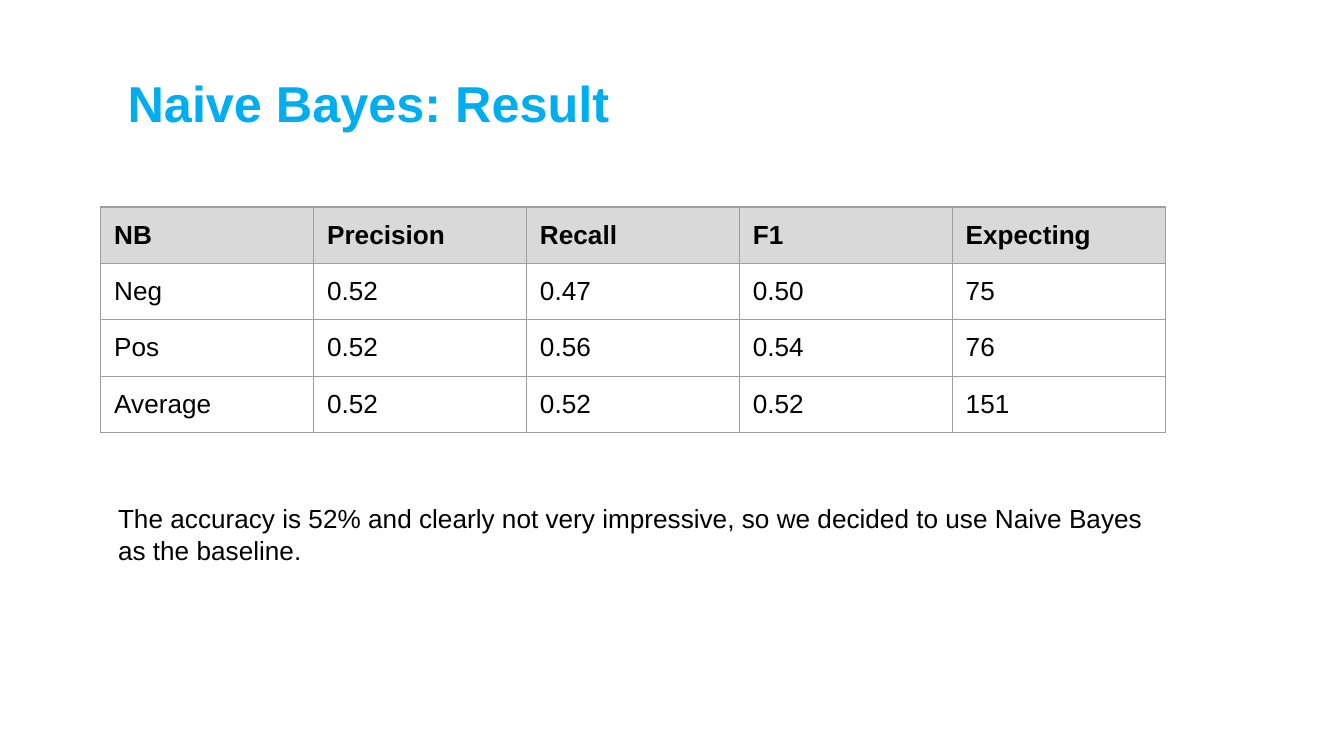
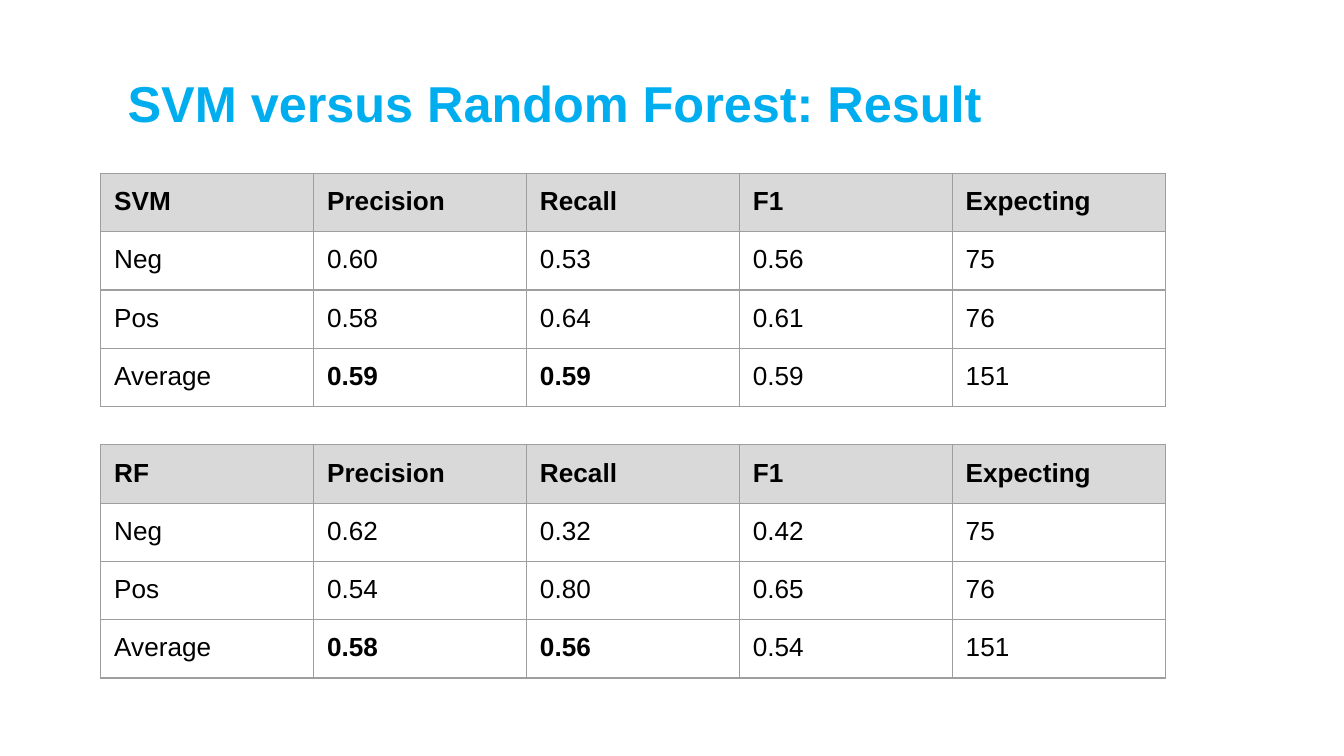
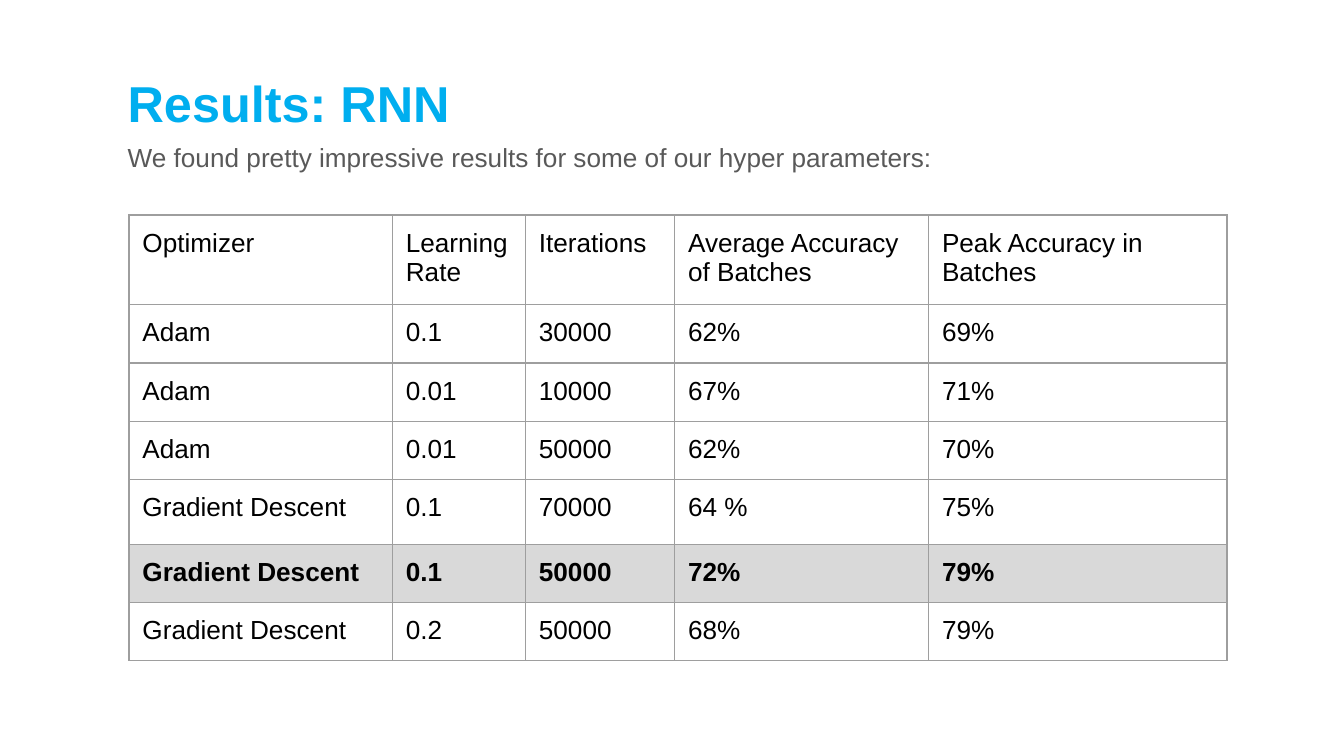
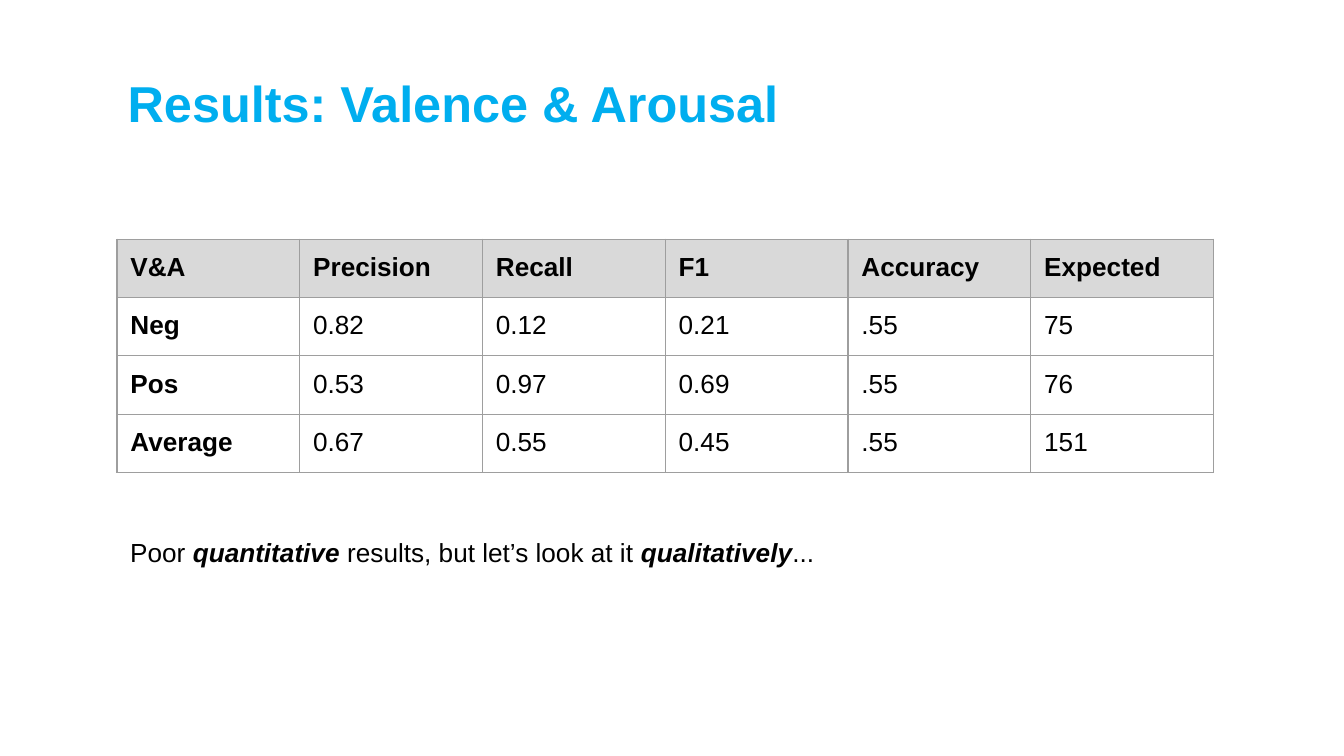
from lxml import etree
from pptx import Presentation
from pptx.dml.color import RGBColor
from pptx.enum.text import MSO_ANCHOR, MSO_AUTO_SIZE
from pptx.oxml.ns import qn
from pptx.util import Inches, Pt

BOTTOM, TOP = MSO_ANCHOR.BOTTOM, MSO_ANCHOR.TOP
FIT_SHAPE = MSO_AUTO_SIZE.SHAPE_TO_FIT_TEXT
NO_FIT = MSO_AUTO_SIZE.NONE

BLUE = RGBColor(0x00, 0xAE, 0xEF)
BLACK = RGBColor(0x00, 0x00, 0x00)
GRAY = RGBColor(0x59, 0x59, 0x59)
SHADE = RGBColor(0xD9, 0xD9, 0xD9)
BORDER = RGBColor(0x9E, 0x9E, 0x9E)

FONT = "Arial"
PAGE_WIDTH = 10
PAGE_HEIGHT = PAGE_WIDTH * 9 / 16
ROW_HEIGHT = 0.42
CLASSES = ("Neg", "Pos", "Average")
METRICS = ("Precision", "Recall", "F1", "Expecting")
AVERAGE_BEST = {(3, 1), (3, 2)}


def style_font(font, size, color, bold=False):
    font.name = FONT
    font.size = Pt(size)
    font.color.rgb = color
    font.bold = bold


def set_insets(frame, inset):
    """Give a text frame or a table cell the same margin on all sides."""
    frame.margin_left = frame.margin_right = Inches(inset)
    frame.margin_top = frame.margin_bottom = Inches(inset)


def add_text(page, place, spans, size=14, color=BLACK, bold=False,
             inset=0.1, anchor=TOP, spacing=1.0, fit=NO_FIT):
    """Add a one-paragraph box; spans are (text, emphasized) pairs."""
    box = page.shapes.add_textbox(*map(Inches, place))
    frame = box.text_frame
    frame.word_wrap = True
    frame.auto_size = fit
    frame.vertical_anchor = anchor
    set_insets(frame, inset)
    para = frame.paragraphs[0]
    para.line_spacing = spacing
    style_font(para.font, size, color, bold)
    for text, emphasized in spans:
        span = para.add_run()
        span.text = text
        if emphasized:
            span.font.bold = span.font.italic = True


def add_page(deck, title):
    page = deck.slides.add_slide(deck.slide_layouts[6])
    add_text(page, (0.87, 0.44, 7.13, 0.62), [(title, False)], size=27,
             color=BLUE, bold=True, inset=0.08, anchor=BOTTOM, spacing=0.8)
    return page


def remove_table_style(table):
    properties = table._tbl.tblPr
    properties.remove(properties.find(qn("a:tableStyleId")))
    table.first_row = table.horz_banding = False


def add_borders(cell):
    properties = cell._tc.get_or_add_tcPr()
    for side in ("a:lnL", "a:lnR", "a:lnT", "a:lnB"):
        line = etree.SubElement(properties, qn(side), w=str(Pt(0.75)))
        fill = etree.SubElement(line, qn("a:solidFill"))
        etree.SubElement(fill, qn("a:srgbClr"), val=str(BORDER))


def add_grid(page, left, top, widths, heights, rows, shaded_row=0, bold=()):
    """Add a table; the shaded row and the (row, column) cells in bold stand out."""
    frame = page.shapes.add_table(
        len(rows), len(widths), Inches(left), Inches(top),
        Inches(sum(widths)), Inches(sum(heights)))
    table = frame.table
    remove_table_style(table)
    for column, width in zip(table.columns, widths):
        column.width = Inches(width)
    for row, height in zip(table.rows, heights):
        row.height = Inches(height)
    for row_index, values in enumerate(rows):
        for column_index, value in enumerate(values):
            cell = table.cell(row_index, column_index)
            shaded = row_index == shaded_row
            cell.text = value
            set_insets(cell, 0.1)
            style_font(cell.text_frame.paragraphs[0].font, 14, BLACK,
                       shaded or (row_index, column_index) in bold)
            add_borders(cell)
            if shaded:
                cell.fill.solid()
                cell.fill.fore_color.rgb = SHADE
            else:
                cell.fill.background()


def add_scores(page, left, top, width, model, scores, metrics=METRICS, bold=()):
    """Add a table of scores per class, with equal columns."""
    rows = [(model, *metrics)]
    rows += [(name, *values) for name, values in zip(CLASSES, scores)]
    columns = len(rows[0])
    add_grid(page, left, top, [width / columns] * columns,
             [ROW_HEIGHT] * len(rows), rows, bold=bold)


def add_naive_bayes(deck):
    page = add_page(deck, "Naive Bayes: Result")
    add_scores(page, 0.75, 1.54, 7.92, "NB", [
        ("0.52", "0.47", "0.50", "75"),
        ("0.52", "0.56", "0.54", "76"),
        ("0.52", "0.52", "0.52", "151"),
    ])
    add_text(page, (0.78, 3.64, 7.92, 0.64), [
        ("The accuracy is 52% and clearly not very impressive, so we decided "
         "to use Naive Bayes as the baseline.", False)], fit=FIT_SHAPE)


def add_svm_and_forest(deck):
    page = add_page(deck, "SVM versus Random Forest: Result")
    add_scores(page, 0.75, 1.29, 7.92, "SVM", [
        ("0.60", "0.53", "0.56", "75"),
        ("0.58", "0.64", "0.61", "76"),
        ("0.59", "0.59", "0.59", "151"),
    ], bold=AVERAGE_BEST)
    add_scores(page, 0.75, 3.31, 7.92, "RF", [
        ("0.62", "0.32", "0.42", "75"),
        ("0.54", "0.80", "0.65", "76"),
        ("0.58", "0.56", "0.54", "151"),
    ], bold=AVERAGE_BEST)


def add_rnn(deck):
    page = add_page(deck, "Results: RNN")
    add_text(page, (0.87, 1, 7.13, 4.18), [
        ("We found pretty impressive results for some of our hyper parameters:",
         False)], color=GRAY, inset=0.08, spacing=0.9)
    rows = [
        ("Optimizer", "Learning Rate", "Iterations",
         "Average Accuracy of Batches", "Peak Accuracy in Batches"),
        ("Adam", "0.1", "30000", "62%", "69%"),
        ("Adam", "0.01", "10000", "67%", "71%"),
        ("Adam", "0.01", "50000", "62%", "70%"),
        ("Gradient Descent", "0.1", "70000", "64 %", "75%"),
        ("Gradient Descent", "0.1", "50000", "72%", "79%"),
        ("Gradient Descent", "0.2", "50000", "68%", "79%"),
    ]
    heights = [0.64, *[ROW_HEIGHT] * 3, 0.48, *[ROW_HEIGHT] * 2]
    add_grid(page, 0.96, 1.6, [1.96, 0.99, 1.11, 1.89, 2.22], heights, rows,
             shaded_row=5)


def add_valence_and_arousal(deck):
    page = add_page(deck, "Results: Valence & Arousal")
    add_scores(page, 0.87, 1.78, 8.16, "V&A", [
        ("0.82", "0.12", "0.21", ".55", "75"),
        ("0.53", "0.97", "0.69", ".55", "76"),
        ("0.67", "0.55", "0.45", ".55", "151"),
    ], metrics=("Precision", "Recall", "F1", "Accuracy", "Expected"),
        bold={(1, 0), (2, 0), (3, 0)})
    add_text(page, (0.87, 3.89, 6.28, 0.42), [
        ("Poor ", False), ("quantitative ", True),
        ("results, but let’s look at it ", False),
        ("qualitatively", True), ("...", False)], fit=FIT_SHAPE)


def main():
    deck = Presentation()
    deck.slide_width, deck.slide_height = Inches(PAGE_WIDTH), Inches(PAGE_HEIGHT)
    add_naive_bayes(deck)
    add_svm_and_forest(deck)
    add_rnn(deck)
    add_valence_and_arousal(deck)
    deck.save("out.pptx")


if __name__ == "__main__":
    main()
